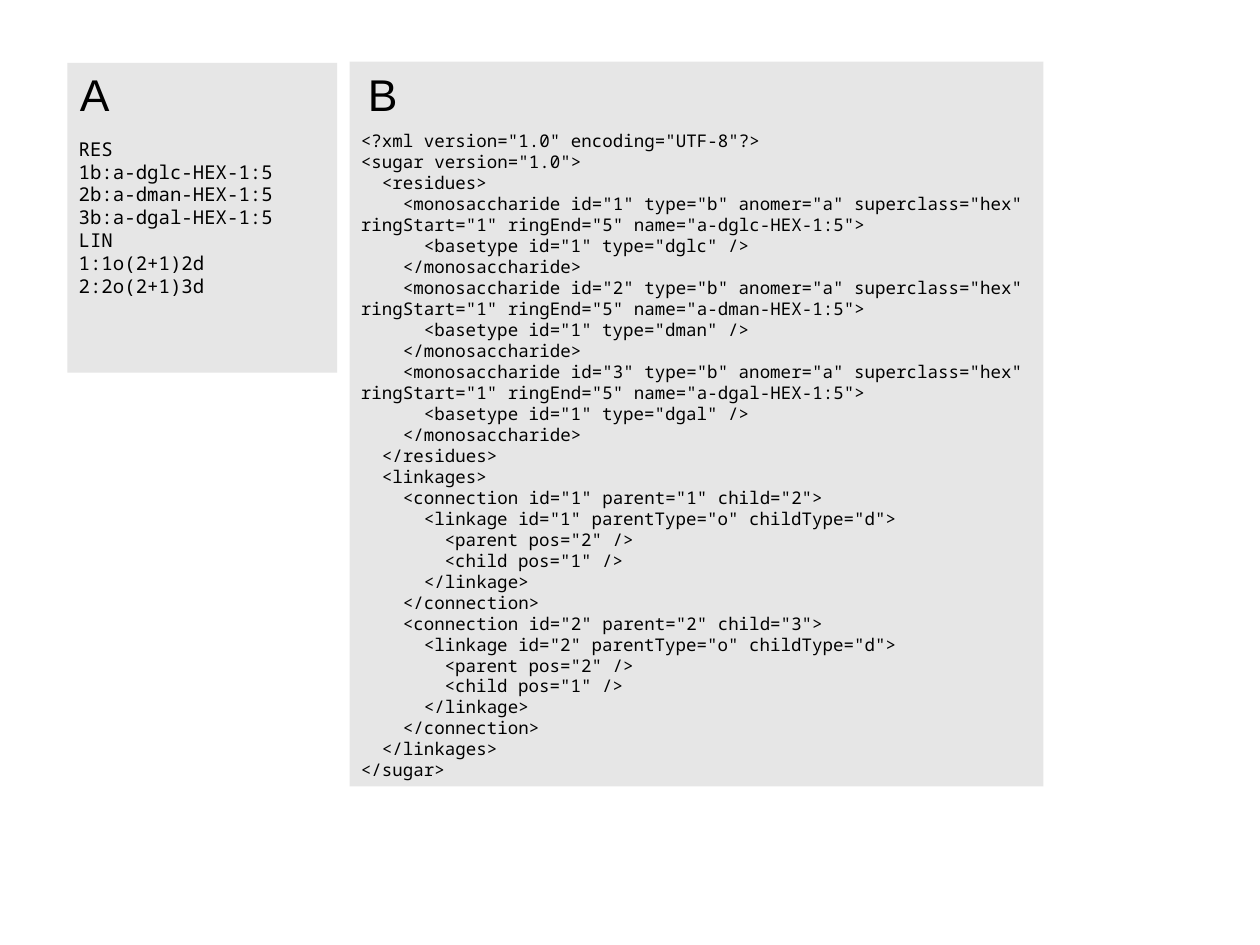
from dataclasses import dataclass

from pptx import Presentation
from pptx.dml.color import RGBColor
from pptx.enum import shapes, text
from pptx.util import Emu, Pt

PX = 9144  # EMU per px, 100 px to the inch
WIDE, HIGH = Emu(10080625), Emu(7559675)  # 28 by 21 cm in whole 1/576 inch
GREY = RGBColor(0xE6, 0xE6, 0xE6)
BLACK = RGBColor(0, 0, 0)
MONO = "Noto Sans Mono"
SANS = "Arial"


@dataclass
class Line:
    level: int
    words: str


@dataclass
class Panel:
    x: int
    y: int
    w: int
    h: int
    top: int
    size: int
    lines: list[Line]


@dataclass
class Label:
    x: int
    y: int
    w: int
    h: int
    words: str


def px(n: int) -> Emu:
    return Emu(n * PX)


# Sugar code in both notations
def sugar(num: int, base: str) -> list[Line]:
    return [
        Line(2, f'<monosaccharide id="{num}" type="b" anomer="a" superclass="hex" '
                f'ringStart="1" ringEnd="5" name="a-{base}-HEX-1:5">'),
        Line(3, f'<basetype id="1" type="{base}" />'),
        Line(2, "</monosaccharide>"),
    ]


def link(num: int) -> list[Line]:
    return [
        Line(2, f'<connection id="{num}" parent="{num}" child="{num + 1}">'),
        Line(3, f'<linkage id="{num}" parentType="o" childType="d">'),
        Line(4, '<parent pos="2" />'),
        Line(4, '<child pos="1" />'),
        Line(3, "</linkage>"),
        Line(2, "</connection>"),
    ]


BASES = ["dglc", "dman", "dgal"]
LINKS = range(1, len(BASES))

SHORT = [
    Line(0, "RES"),
    *(Line(0, f"{n}b:a-{base}-HEX-1:5") for n, base in enumerate(BASES, 1)),
    Line(0, "LIN"),
    *(Line(0, f"{n}:{n}o(2+1){n + 1}d") for n in LINKS),
]

XML = [
    Line(0, '<?xml version="1.0" encoding="UTF-8"?>'),
    Line(0, '<sugar version="1.0">'),
    Line(1, "<residues>"),
    *(line for n, base in enumerate(BASES, 1) for line in sugar(n, base)),
    Line(1, "</residues>"),
    Line(1, "<linkages>"),
    *(line for n in LINKS for line in link(n)),
    Line(1, "</linkages>"),
    Line(0, "</sugar>"),
]

PANELS = [
    Panel(59, 55, 236, 271, 65, 12, SHORT),
    Panel(306, 54, 607, 634, 60, 11, XML),
]
LABELS = [Label(60, 54, 47, 86, "A"), Label(312, 54, 46, 86, "B")]


def inset(frame, top: int) -> None:
    frame.margin_left = frame.margin_right = px(10)
    frame.margin_top, frame.margin_bottom = px(top), px(5)
    frame.vertical_anchor = text.MSO_ANCHOR.TOP


def style(para, face: str, size: int) -> None:
    para.alignment = text.PP_ALIGN.LEFT
    para.font.name = face
    para.font.size = Pt(size)
    para.font.color.rgb = BLACK


def draw_panel(slide, panel: Panel) -> None:
    box = slide.shapes.add_shape(shapes.MSO_SHAPE.RECTANGLE, px(panel.x),
                                 px(panel.y), px(panel.w), px(panel.h))
    box.shadow.inherit = False
    box.fill.solid()
    box.fill.fore_color.rgb = GREY
    box.line.fill.background()
    frame = box.text_frame
    frame.word_wrap = True
    inset(frame, panel.top)
    for i, line in enumerate(panel.lines):
        para = frame.add_paragraph() if i else frame.paragraphs[0]
        para.text = line.words
        style(para, MONO, panel.size)
        para.line_spacing = Pt(panel.size * 1.2)
        # First-line indent of two characters a level; wrapped text stays left
        props = para._p.get_or_add_pPr()
        props.set("marL", "0")
        props.set("indent", str(Pt(line.level * panel.size * 1.2)))


def draw_label(slide, label: Label) -> None:
    box = slide.shapes.add_textbox(px(label.x), px(label.y),
                                   px(label.w), px(label.h))
    frame = box.text_frame
    frame.word_wrap = False
    inset(frame, 5)
    para = frame.paragraphs[0]
    para.text = label.words
    style(para, SANS, 28)


def main() -> None:
    deck = Presentation()
    deck.slide_width, deck.slide_height = WIDE, HIGH
    slide = deck.slides.add_slide(deck.slide_layouts[6])
    for panel in PANELS:
        draw_panel(slide, panel)
    for label in LABELS:
        draw_label(slide, label)
    deck.save("out.pptx")


if __name__ == "__main__":
    main()
